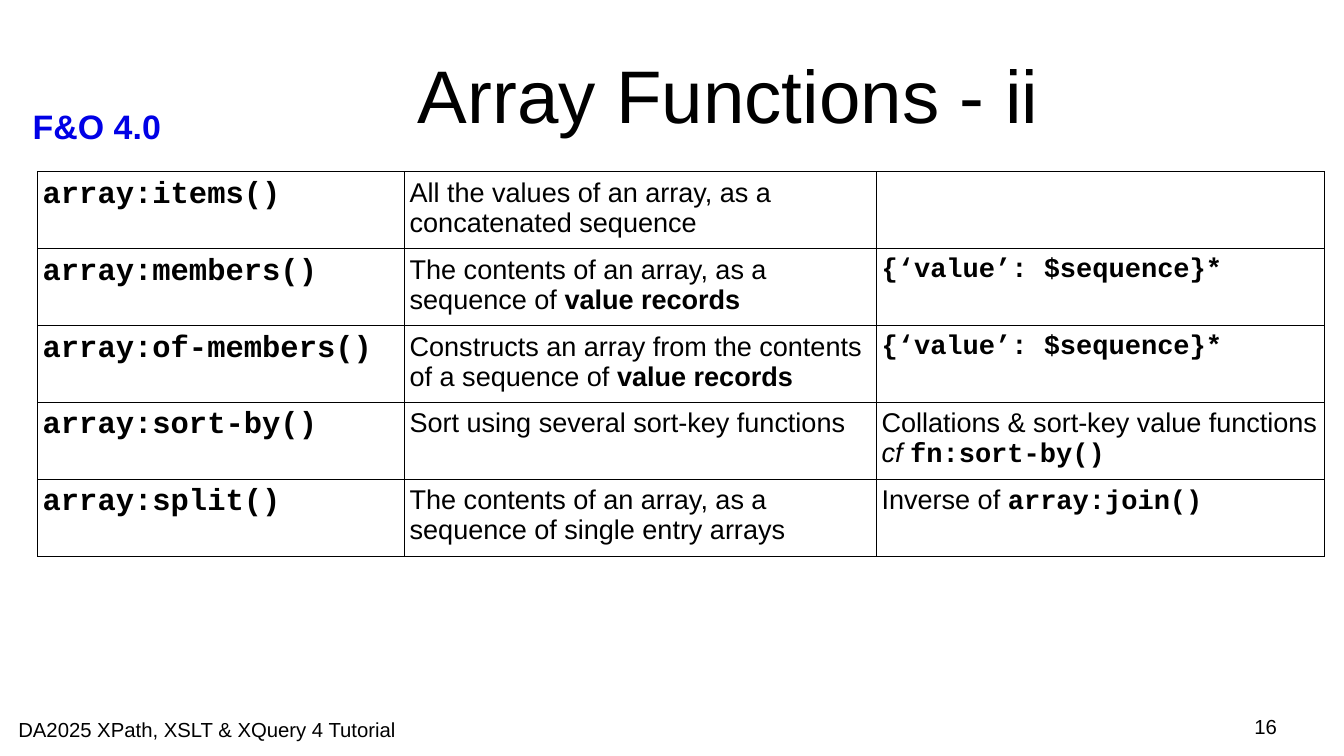
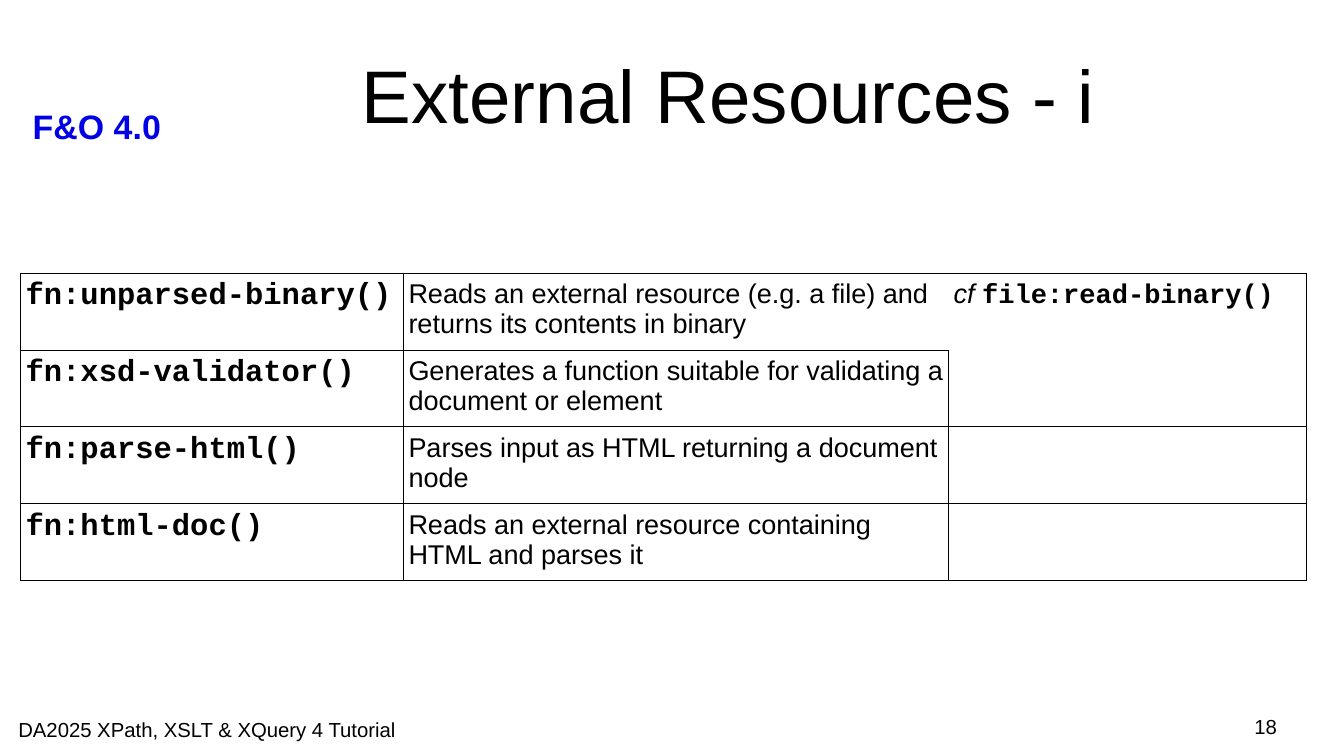
import pptx
import pptx.util
import pptx.dml.color
import pptx.enum.text
import pptx.oxml.ns
import lxml.etree

Inches, Pt = pptx.util.Inches, pptx.util.Pt
RGB = pptx.dml.color.RGBColor
ALIGN, ANCHOR = pptx.enum.text.PP_ALIGN, pptx.enum.text.MSO_ANCHOR

# Theme: each style is (font, size, colour, bold, italic)
SANS, MONO, BLACK, BLUE = "Arial", "Courier New", "000000", "0000E6"
STYLES = {
    "title": (SANS, 44, BLACK, False, False),
    "tag": (SANS, 20, BLUE, True, False),
    "footer": (SANS, 12, BLACK, False, False),
    "name": (MONO, 18, BLACK, True, False),
    "text": (SANS, 16, BLACK, False, False),
    "strong": (SANS, 16, BLACK, True, False),
    "cf": (SANS, 16, BLACK, False, True),
    "code": (MONO, 16, BLACK, True, False),
}
WIDTH, HEIGHT = 11.02, 6.2
ROW_HEIGHT, BORDER = 0.63, 0.57
TAG = "F&O 4.0"
FOOTER = "DA2025 XPath, XSLT & XQuery 4 Tutorial"

# Content: a cell is a list of (style, text) runs; a row is name, meaning, remark
VALUE_RECORD = [("code", "{‘value’: $sequence}*")]
SLIDES = [
    {
        "title": "Array Functions - ii", "number": "16",
        "at": (0.31, 1.41), "columns": (3.01, 3.87, 3.67), "sides": {},
        "rows": [
            ("array:items()",
             [("text", "All the values of an array, as a concatenated sequence")], []),
            ("array:members()",
             [("text", "The contents of an array, as a sequence of "),
              ("strong", "value records")], VALUE_RECORD),
            ("array:of-members()",
             [("text", "Constructs an array from the contents of a sequence of "),
              ("strong", "value records")], VALUE_RECORD),
            ("array:sort-by()",
             [("text", "Sort using several sort-key functions")],
             [("text", "Collations & sort-key value functions"), ("break", ""),
              ("cf", "cf "), ("code", "fn:sort-by()")]),
            ("array:split()",
             [("text", "The contents of an array, as a sequence of single entry arrays")],
             [("text", "Inverse of "), ("code", "array:join()")]),
        ],
    },
    {
        "title": "External Resources - i", "number": "18",
        "at": (0.17, 2.24), "columns": (3.14, 4.47, 2.93),
        # Cells that lack some of their border sides
        "sides": {(0, 1): "LTB", (0, 2): "RT", (1, 2): "LRB"},
        "rows": [
            ("fn:unparsed-binary()",
             [("text", "Reads an external resource (e.g. a file) and returns its "
                       "contents in binary")],
             [("cf", "cf "), ("code", "file:read-binary()")]),
            ("fn:xsd-validator()",
             [("text", "Generates a function suitable for validating a document "
                       "or element")], []),
            ("fn:parse-html()",
             [("text", "Parses input as HTML returning a document node")], []),
            ("fn:html-doc()",
             [("text", "Reads an external resource containing HTML and parses it")], []),
        ],
    },
]


def add_runs(p, runs):
    for style, text in runs:
        if style == "break":
            p.add_line_break()
            continue
        r = p.add_run()
        r.text = text
        name, size, colour, r.font.bold, r.font.italic = STYLES[style]
        r.font.name, r.font.size = name, Pt(size)
        r.font.color.rgb = RGB.from_string(colour)


def fill_box(sp, at, style, text, align=ALIGN.LEFT, anchor=ANCHOR.TOP, insets=(0, 0)):
    sp.left, sp.top, sp.width, sp.height = map(Inches, at)
    tf = sp.text_frame
    tf.word_wrap = True
    tf.auto_size = pptx.enum.text.MSO_AUTO_SIZE.NONE
    tf.vertical_anchor = anchor
    tf.margin_left = tf.margin_right = Inches(insets[0])
    tf.margin_top = tf.margin_bottom = Inches(insets[1])
    p = tf.paragraphs[0]
    p.alignment = align
    add_runs(p, [(style, text)])


def set_borders(cell, sides):
    qn = pptx.oxml.ns.qn
    tc_pr = cell._tc.get_or_add_tcPr()
    for side in "LRTB":
        ln = lxml.etree.SubElement(tc_pr, qn("a:ln" + side), w=str(Pt(BORDER)))
        if side in sides:
            fill = lxml.etree.SubElement(ln, qn("a:solidFill"))
            lxml.etree.SubElement(fill, qn("a:srgbClr"), val=BLACK)
        else:
            lxml.etree.SubElement(ln, qn("a:noFill"))


def add_function_table(s, content):
    rows, columns = content["rows"], content["columns"]
    size = sum(columns), ROW_HEIGHT * len(rows)
    table = s.shapes.add_table(len(rows), len(columns),
                               *map(Inches, content["at"] + size)).table
    table.first_row = table.horz_banding = False
    for column, width in zip(table.columns, columns):
        column.width = Inches(width)
    for i, (name, meaning, remark) in enumerate(rows):
        table.rows[i].height = Inches(ROW_HEIGHT)
        for j, runs in enumerate(([("name", name)], meaning, remark)):
            cell = table.cell(i, j)
            cell.margin_left = cell.margin_right = Inches(0.04)
            cell.margin_top = cell.margin_bottom = Inches(0.05)
            set_borders(cell, content["sides"].get((i, j), "LRTB"))
            cell.fill.background()
            add_runs(cell.text_frame.paragraphs[0], runs)


def add_function_slide(prs, content):
    s = prs.slides.add_slide(prs.slide_layouts[5])
    # Title, tag and footer
    fill_box(s.shapes.title, (1.48, 0.25, 8.99, 1.04), "title", content["title"],
             ALIGN.CENTER, ANCHOR.MIDDLE)
    for at, style, text, align, insets in (
            ((0.17, 0.82, 1.38, 0.41), "tag", TAG, ALIGN.LEFT, (0.1, 0.05)),
            ((0.15, 5.88, 3.49, 0.19), "footer", FOOTER, ALIGN.LEFT, (0, 0)),
            ((7.9, 5.86, 2.57, 0.24), "footer", content["number"], ALIGN.RIGHT, (0, 0))):
        sp = s.shapes.add_textbox(0, 0, 0, 0)
        fill_box(sp, at, style, text, align, insets=insets)
    add_function_table(s, content)


def main():
    prs = pptx.Presentation()
    prs.slide_width, prs.slide_height = Inches(WIDTH), Inches(HEIGHT)
    for content in SLIDES:
        add_function_slide(prs, content)
    prs.save("out.pptx")


if __name__ == "__main__":
    main()
